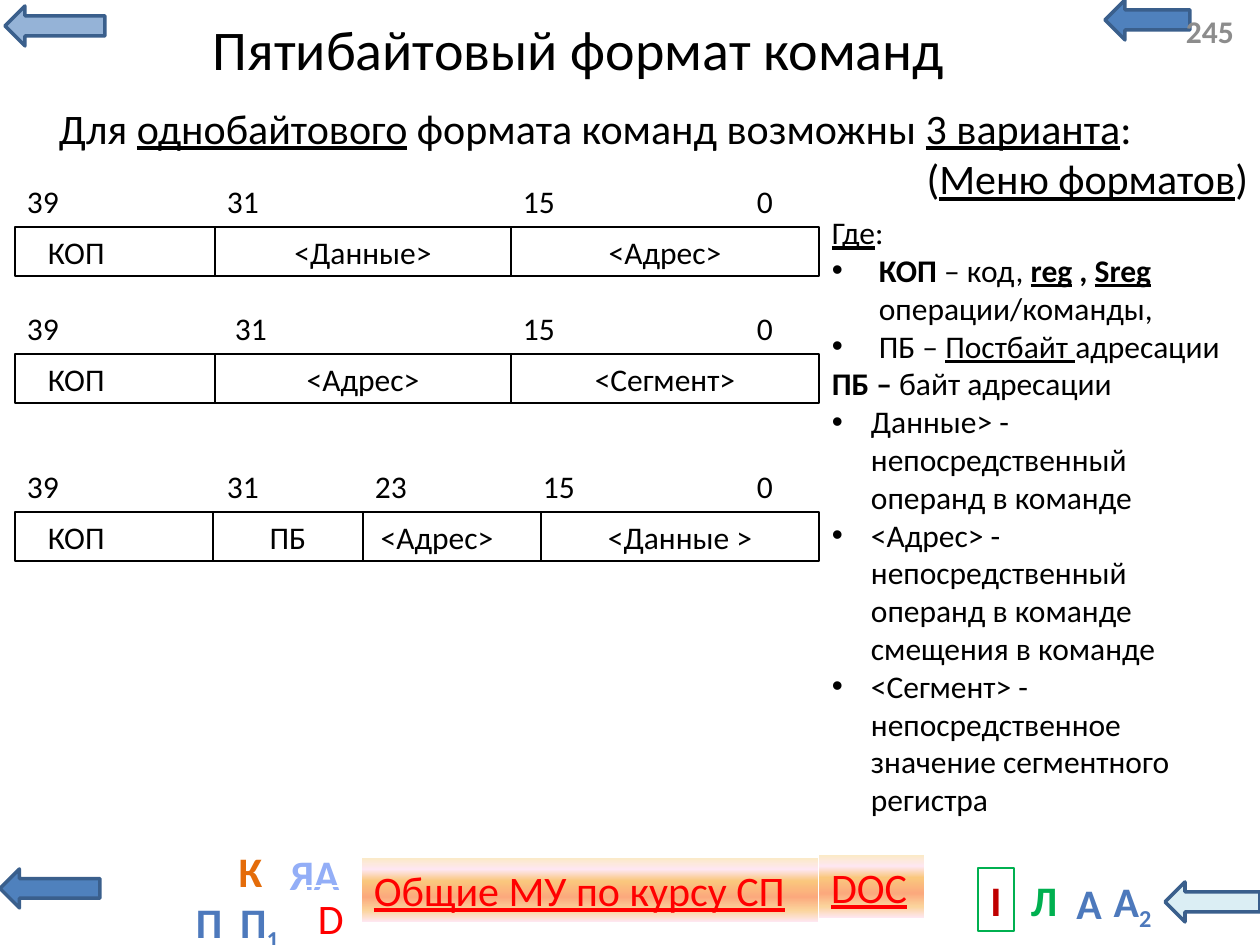
from lxml import etree
from pptx import Presentation
from pptx.dml.color import RGBColor
from pptx.enum.shapes import MSO_SHAPE
from pptx.enum.text import MSO_ANCHOR, PP_ALIGN
from pptx.oxml.ns import qn
from pptx.util import Pt

PX = 914400 / 126
FONT = "Calibri"
LEFT, MID, RIGHT = PP_ALIGN.LEFT, PP_ALIGN.CENTER, PP_ALIGN.RIGHT
TOP, CENTRE = MSO_ANCHOR.TOP, MSO_ANCHOR.MIDDLE
RECT, ARROW = MSO_SHAPE.RECTANGLE, MSO_SHAPE.LEFT_ARROW

BLACK = RGBColor(0x00, 0x00, 0x00)
WHITE = RGBColor(0xFF, 0xFF, 0xFF)
GREY = RGBColor(0x8C, 0x8C, 0x8C)
RED = RGBColor(0xFF, 0x00, 0x00)
WINE = RGBColor(0xC0, 0x00, 0x00)
GREEN = RGBColor(0x00, 0xB0, 0x50)
AMBER = RGBColor(0xE4, 0x6C, 0x0A)
LILAC = RGBColor(0x93, 0xAE, 0xF7)
STEEL = RGBColor(0x4D, 0x79, 0xBC)
BLUE = RGBColor(0x4F, 0x81, 0xBD)
PALE = RGBColor(0x95, 0xB3, 0xD7)
ICE = RGBColor(0xDB, 0xEE, 0xF4)
NAVY = RGBColor(0x3A, 0x5F, 0x8C)
GLOW = [(0, "FBEAC7"), (18, "FEE7F2"), (36, "FAC77D"),
        (61, "FBA97D"), (82, "FBD49C"), (100, "FEE7F2")]


def emu(*vals):
    return [round(v * PX) for v in vals]


def bullet(par, ind):
    props = par._p.get_or_add_pPr()
    dist = emu(ind)[0]
    props.set("marL", str(dist))
    props.set("indent", str(-dist))
    etree.SubElement(props, qn("a:buFont")).set("typeface", "Arial")
    etree.SubElement(props, qn("a:buChar")).set("char", "•")


def write(shape, paras, size=18, color=BLACK, bold=False, align=LEFT,
          anchor=TOP, inset=12):
    frame = shape.text_frame
    frame.word_wrap = True
    frame.vertical_anchor = anchor
    frame.margin_left, frame.margin_right = emu(inset, 12)
    if isinstance(paras, str):
        paras = [{"runs": [(paras, "")]}]
    for i, item in enumerate(paras):
        par = frame.add_paragraph() if i else frame.paragraphs[0]
        par.alignment = item.get("align", align)
        if "ind" in item:
            bullet(par, item["ind"])
        for text, marks in item["runs"]:
            run = par.add_run()
            run.text = text
            font = run.font
            font.name = FONT
            font.size = Pt(size)
            font.color.rgb = color
            font.bold = bold or "b" in marks
            font.underline = "u" in marks
            if "s" in marks:
                font._element.set("baseline", "-25000")


def label(slide, box, paras, **fmt):
    shape = slide.shapes.add_textbox(*emu(*box))
    write(shape, paras, **fmt)


def block(slide, box, kind=RECT, fill=None, line=None, width=1.5):
    shape = slide.shapes.add_shape(kind, *emu(*box))
    shape.shadow.inherit = False
    if fill is None:
        shape.fill.background()
    else:
        shape.fill.solid()
        shape.fill.fore_color.rgb = fill
    if line is None:
        shape.line.fill.background()
    else:
        shape.line.color.rgb = line
        shape.line.width = Pt(width)
    return shape


def banner(slide, box, text):
    shape = block(slide, box)
    shape.fill.gradient()
    shape.fill.gradient_angle = 270
    stops = shape._element.spPr.find(qn("a:gradFill")).find(qn("a:gsLst"))
    stops.clear()
    for pos, tint in GLOW:
        stop = etree.SubElement(stops, qn("a:gs"), pos=str(pos * 1000))
        etree.SubElement(stop, qn("a:srgbClr"), val=tint)
    write(shape, [{"runs": [(text, "u")]}], size=24, color=RED)


def layout(slide, top, cells, bits):
    for x, end, text, fill in cells:
        shape = block(slide, (x, top, end - x, 49), fill=fill, line=BLACK)
        first = text == "КОП"
        write(shape, text, align=LEFT if first else MID, anchor=CENTRE,
              inset=33 if first else 12)
    for x, text in bits:
        label(slide, (x, top - 51, 74, 50), text)


def footer(slide):
    for box, fill in [((1105, 0, 85, 40), BLUE), ((0, 869, 100, 39), BLUE),
                      ((5, 6, 100, 40), PALE), ((1165, 882, 95, 40), ICE)]:
        block(slide, box, ARROW, fill, NAVY, 2)
    banner(slide, (362, 858, 456, 64), "Общие МУ по курсу СП")
    banner(slide, (819, 855, 105, 63), "DOC")
    for box, text, sub, color in [
            ((1063, 871, 52, 63), "А", "", STEEL),
            ((226, 839, 49, 63), "К", "", AMBER),
            ((1018, 868, 52, 63), "Л", "", GREEN),
            ((1099, 869, 67, 63), "А", "2", STEEL),
            ((275, 842, 79, 63), "ЯА", "", LILAC),
            ((184, 890, 50, 63), "П", "", STEEL),
            ((226, 890, 67, 63), "П", "1", STEEL)]:
        runs = [(text, "")] + ([(sub, "s")] if sub else [])
        label(slide, box, [{"runs": runs}], size=24, color=color, bold=True,
              align=MID)
    for box, line, text, color, bold in [
            ((306, 886, 49, 63), WHITE, "D", RED, False),
            ((978, 868, 36, 63), GREEN, "I", WINE, True)]:
        shape = block(slide, box, line=line, width=0.75)
        write(shape, text, size=24, color=color, bold=bold, align=MID)


def main():
    deck = Presentation()
    deck.slide_width, deck.slide_height = emu(1260, 945)
    slide = deck.slides.add_slide(deck.slide_layouts[6])
    footer(slide)
    label(slide, (118, 0, 922, 97), "Пятибайтовый формат команд", size=32,
          align=MID, anchor=CENTRE)
    label(slide, (1174, 6, 81, 50), "245", color=GREY, bold=True,
          anchor=CENTRE)
    label(slide, (47, 96, 1213, 165), [
        {"runs": [("Для ", ""), ("однобайтового", "u"),
                  (" формата команд возможны ", ""),
                  ("3 варианта", "u"), (":", "")]},
        {"align": RIGHT,
         "runs": [("(", ""), ("Меню форматов", "u"), (")", "")]},
    ], size=24)

    code = (15, 215, "КОП", None)
    ends = [(15, "39"), (745, "0")]
    for top, mid, last, x in [(227, "<Данные>", "<Адрес>", 215),
                              (354, "<Адрес>", "<Сегмент>", 223)]:
        layout(slide, top,
               [code, (511, 819, last, None), (215, 511, mid, None)],
               ends + [(x, "31"), (511, "15")])
    layout(slide, 512,
           [(15, 215, "КОП", None), (541, 819, "<Данные >", None),
            (333, 541, "<Адрес>", None), (213, 363, "ПБ", WHITE)],
           ends + [(215, "31"), (363, "23"), (531, "15")])

    label(slide, (820, 207, 440, 624), [
        {"runs": [("Где", "u"), (":", "")]},
        {"ind": 47, "runs": [("КОП", "b"), (" – код, ", ""), ("reg", "bu"),
                             (" , ", "b"), ("Sreg", "bu"),
                             (" операции/команды,", "")]},
        {"ind": 47, "runs": [("ПБ – ", ""), ("Постбайт ", "u"),
                             ("адресации", "")]},
        {"runs": [("ПБ – ", "b"), ("байт адресации", "")]},
    ] + [{"ind": 39, "runs": [(text, "")]} for text in (
        "Данные> - непосредственный операнд в команде",
        "<Адрес> - непосредственный операнд в команде смещения в команде",
        "<Сегмент> - непосредственное значение сегментного регистра")])
    deck.save("out.pptx")


if __name__ == "__main__":
    main()
